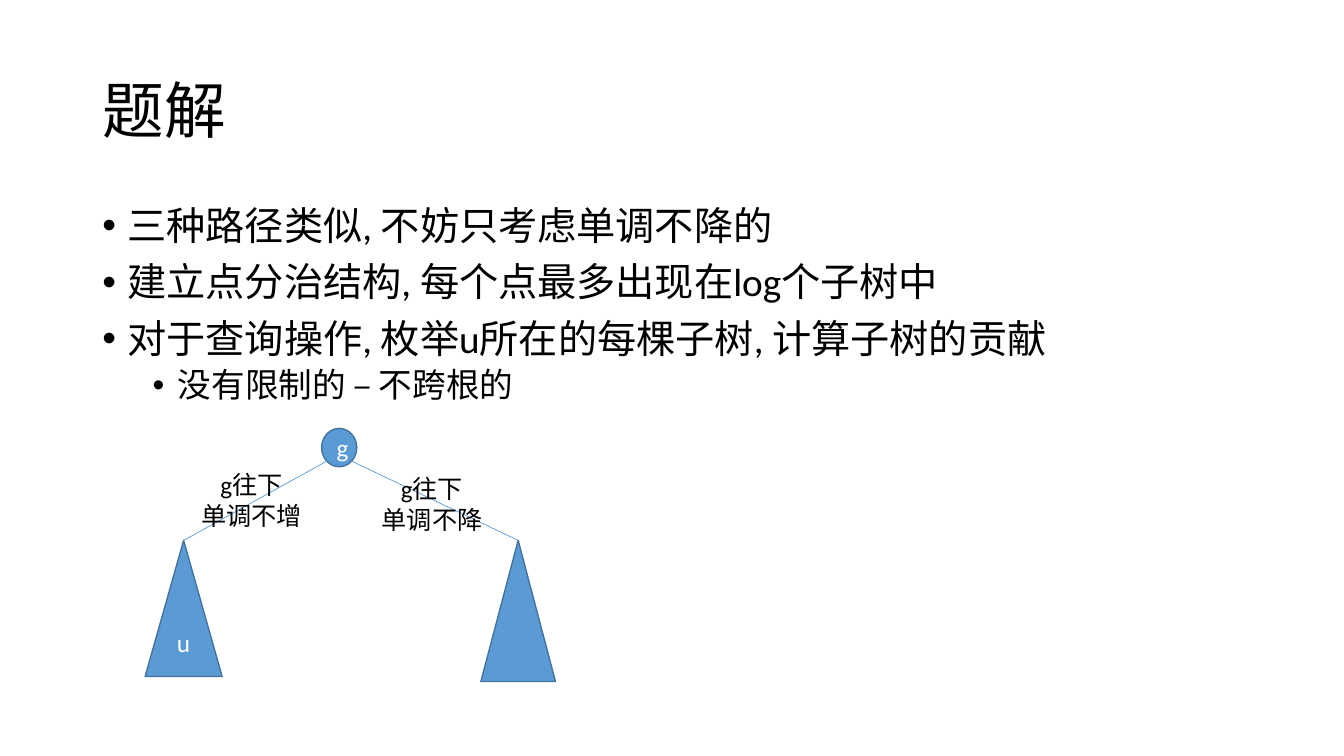
import math
from typing import NamedTuple

import lxml.etree
import pptx
import pptx.dml.color
import pptx.enum.shapes
import pptx.enum.text
import pptx.oxml.ns
import pptx.util

Pt = pptx.util.Pt
SHAPES = pptx.enum.shapes.MSO_SHAPE
ALIGN = pptx.enum.text.PP_ALIGN
ANCHOR = pptx.enum.text.MSO_ANCHOR
FONT, BLACK, WHITE, BLUE, EDGE = "Calibri", "000000", "FFFFFF", "5B9BD5", "43739E"


class Bullet(NamedTuple):
    text: str
    size: float
    indent: float
    before: float
    level: int = 0


class Node(NamedTuple):
    kind: pptx.enum.shapes.MSO_SHAPE
    left: float
    top: float
    width: float
    height: float
    text: str = ""


class Label(NamedTuple):
    left: float
    top: float
    text: str


def colour(value: str) -> pptx.dml.color.RGBColor:
    return pptx.dml.color.RGBColor.from_string(value)


def format_para(para, size: float, shade: str, align=ALIGN.LEFT) -> None:
    para.alignment = align
    for span in para.runs:
        span.font.name = FONT
        span.font.size = Pt(size)
        span.font.color.rgb = colour(shade)


def add_bullets(page, bullets: list[Bullet]) -> None:
    box = page.shapes.add_textbox(Pt(66), Pt(144), Pt(828), Pt(342.7))
    frame = box.text_frame
    frame.word_wrap = True
    frame.text = "\n".join(bullet.text for bullet in bullets)
    for para, bullet in zip(frame.paragraphs, bullets):
        format_para(para, bullet.size, BLACK)
        para.level = bullet.level
        para.line_spacing = 0.9
        para.space_before = Pt(bullet.before)
        properties = para._p.get_or_add_pPr()
        properties.set("marL", str(Pt(bullet.indent)))
        properties.set("indent", str(Pt(-18)))
        for tag, key, value in (("a:buFont", "typeface", "Arial"), ("a:buChar", "char", "•")):
            mark = lxml.etree.SubElement(properties, pptx.oxml.ns.qn(tag))
            mark.set(key, value)


def add_node(page, node: Node) -> None:
    shape = page.shapes.add_shape(
        node.kind, Pt(node.left), Pt(node.top), Pt(node.width), Pt(node.height))
    shape.shadow.inherit = False
    shape.fill.solid()
    shape.fill.fore_color.rgb = colour(BLUE)
    shape.line.color.rgb = colour(EDGE)
    shape.line.width = Pt(1)
    if node.text:
        shape.text_frame.text = node.text
        shape.text_frame.vertical_anchor = ANCHOR.MIDDLE
        format_para(shape.text_frame.paragraphs[0], 18, WHITE, ALIGN.CENTER)


def add_edge(page, root: Node, subtree: Node) -> None:
    """Join the apex of a subtree to the near lower diagonal of the root."""
    apex = subtree.left + subtree.width / 2
    middle = root.left + root.width / 2
    reach = math.copysign(root.width / 2 * math.sqrt(0.5), apex - middle)
    bottom = root.top + root.height / 2 * (1 + math.sqrt(0.5))
    edge = page.shapes.add_connector(
        pptx.enum.shapes.MSO_CONNECTOR.STRAIGHT,
        Pt(apex), Pt(subtree.top), Pt(middle + reach), Pt(bottom))
    edge.line.color.rgb = colour(BLUE)
    edge.line.width = Pt(0.5)
    lxml.etree.SubElement(edge._element.spPr, pptx.oxml.ns.qn("a:effectLst"))


def add_label(page, label: Label) -> None:
    box = page.shapes.add_textbox(Pt(label.left), Pt(label.top), Pt(87.1), Pt(51))
    frame = box.text_frame
    frame.word_wrap = False
    frame.auto_size = pptx.enum.text.MSO_AUTO_SIZE.SHAPE_TO_FIT_TEXT
    frame.text = label.text
    for para in frame.paragraphs:
        format_para(para, 18, BLACK, ALIGN.CENTER)


deck = pptx.Presentation()
deck.slide_width, deck.slide_height = Pt(960), Pt(540)
page = deck.slides.add_slide(deck.slide_layouts.get_by_name("Title Only"))

# Title
title = page.shapes.title
title.left, title.top, title.width, title.height = Pt(66), Pt(28.8), Pt(828), Pt(104.4)
title.text_frame.text = "题解"
title.text_frame.vertical_anchor = ANCHOR.MIDDLE
title.text_frame.paragraphs[0].line_spacing = 0.9
format_para(title.text_frame.paragraphs[0], 44, BLACK)

# Explanation
add_bullets(page, [
    Bullet("三种路径类似, 不妨只考虑单调不降的", 28, 18, 10),
    Bullet("建立点分治结构, 每个点最多出现在log个子树中", 28, 18, 10),
    Bullet("对于查询操作, 枚举u所在的每棵子树, 计算子树的贡献", 28, 18, 10),
    Bullet("没有限制的 – 不跨根的", 24, 54, 5, 1),
])

# Tree: root g with two subtrees
root = Node(SHAPES.OVAL, 229.7, 306, 25.2, 27.4, "g")
subtrees = [
    Node(SHAPES.ISOSCELES_TRIANGLE, 103.7, 386, 55, 97.2, "u"),
    Node(SHAPES.ISOSCELES_TRIANGLE, 343.5, 386, 53.3, 100.8),
]
for node in [*subtrees, root]:
    add_node(page, node)
for subtree in subtrees:
    add_edge(page, root, subtree)

# Edge labels
for label in (Label(136.1, 332, "g往下\n单调不增"), Label(265, 334.8, "g往下\n单调不降")):
    add_label(page, label)

deck.save("out.pptx")
